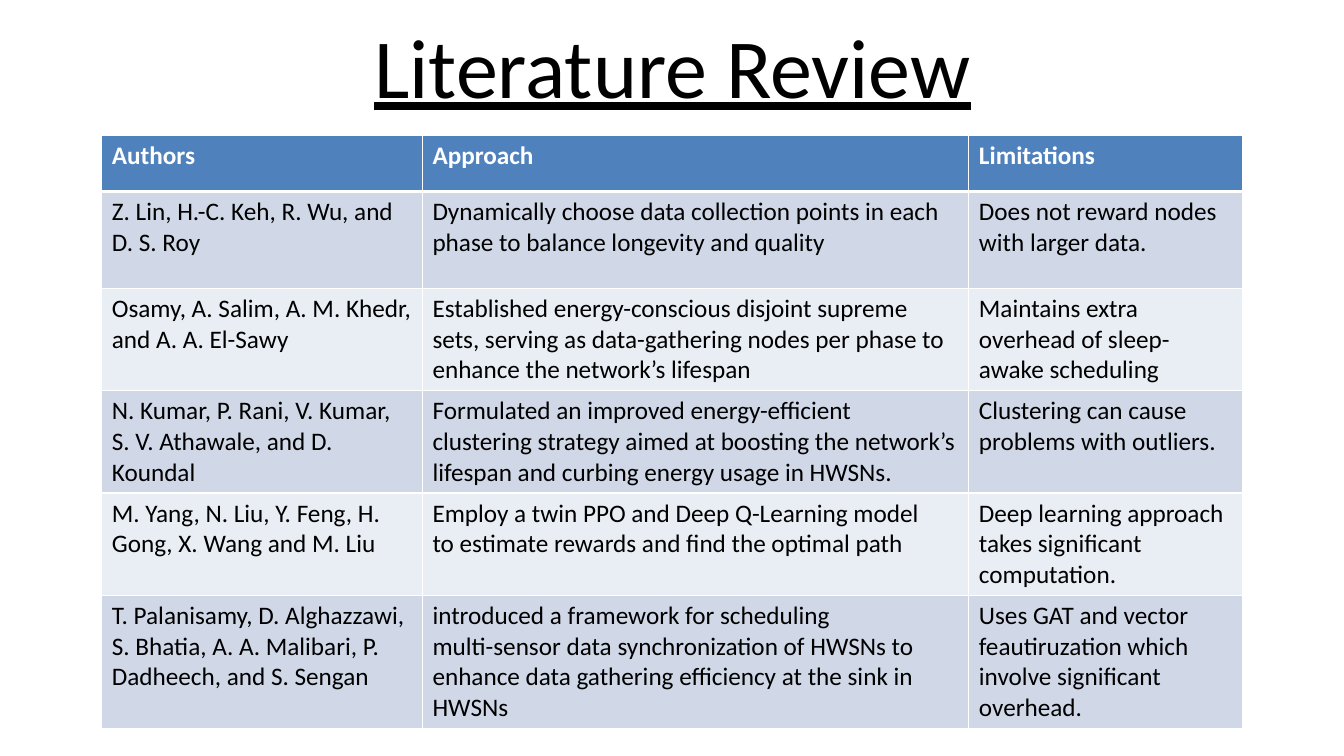
from lxml import etree
from pptx import Presentation
from pptx import util as u
from pptx.dml.color import RGBColor
from pptx.enum import text
from pptx.oxml import ns

FONT = "Calibri"
BLACK, WHITE = "000000", "FFFFFF"
HEADER_FILL = "4F81BD"
BAND_FILLS = ("D0D8E8", "E9EDF4")

COLUMN_WIDTHS = (3.18, 5.42, 2.71)
ROW_HEIGHTS = (0.56, 0.96, 1.01, 0.78, 0.78, 1.31)
REVIEWS = (
    ("Authors", "Approach", "Limitations"),
    ("Z. Lin, H.-C. Keh, R. Wu, and D. S. Roy",
     "Dynamically choose data collection points in each phase to balance longevity and quality",
     "Does not reward nodes with larger data."),
    ("Osamy, A. Salim, A. M. Khedr, and A. A. El-Sawy",
     "Established energy-conscious disjoint supreme sets, serving as data-gathering nodes "
     "per phase to enhance the network’s lifespan",
     "Maintains extra overhead of sleep-awake scheduling"),
    ("N. Kumar, P. Rani, V. Kumar, S. V. Athawale, and D. Koundal",
     "Formulated an improved energy-efficient\nclustering strategy aimed at boosting "
     "the network’s lifespan and curbing energy usage in HWSNs.",
     "Clustering can cause problems with outliers."),
    ("M. Yang, N. Liu, Y. Feng, H. Gong, X. Wang and M. Liu",
     "Employ a twin PPO and Deep Q-Learning model\n"
     "to estimate rewards and find the optimal path",
     "Deep learning approach takes significant computation."),
    ("T. Palanisamy, D. Alghazzawi, S. Bhatia, A. A. Malibari, P. Dadheech, and S. Sengan",
     "introduced a framework for scheduling\nmulti-sensor data synchronization of HWSNs to "
     "enhance data gathering efficiency at the sink in HWSNs",
     "Uses GAT and vector feautiruzation which involve significant overhead."),
)


def rgb(color):
    return RGBColor.from_string(color)


def write(paragraph, wording, size, color, bold=False, underline=False):
    """Set the wording, with newlines as line breaks, and format its runs."""
    paragraph.text = wording
    for run in paragraph.runs:
        font = run.font
        font.name, font.size = FONT, u.Pt(size)
        font.bold, font.underline = bold, underline
        font.color.rgb = rgb(color)


def set_borders(cell, color, **widths):
    """Draw cell borders; widths are points by side, in the order L, R, T, B."""
    properties = cell._tc.get_or_add_tcPr()
    for position, (side, width) in enumerate(widths.items()):
        line = etree.Element(ns.qn(f"a:ln{side}"), w=str(u.Pt(width)))
        fill = etree.SubElement(line, ns.qn("a:solidFill"))
        etree.SubElement(fill, ns.qn("a:srgbClr"), val=color)
        properties.insert(position, line)


def add_heading(slide, left, top, width, height):
    heading = slide.shapes.title
    heading.left, heading.top = u.Inches(left), u.Inches(top)
    heading.width, heading.height = u.Inches(width), u.Inches(height)
    frame = heading.text_frame
    frame.margin_left = frame.margin_right = frame.margin_top = frame.margin_bottom = 0
    frame.vertical_anchor = text.MSO_ANCHOR.TOP
    write(frame.paragraphs[0], "Literature Review", 60, BLACK, underline=True)
    frame.paragraphs[0].alignment = text.PP_ALIGN.CENTER


def add_reviews(slide, left, top):
    reviews = slide.shapes.add_table(
        len(REVIEWS), len(COLUMN_WIDTHS), u.Inches(left), u.Inches(top),
        u.Inches(sum(COLUMN_WIDTHS)), u.Inches(sum(ROW_HEIGHTS))).table
    for column, width in zip(reviews.columns, COLUMN_WIDTHS):
        column.width = u.Inches(width)
    for index, (row, height, review) in enumerate(zip(reviews.rows, ROW_HEIGHTS, REVIEWS)):
        row.height = u.Inches(height)
        is_header = index == 0
        fill = HEADER_FILL if is_header else BAND_FILLS[(index - 1) % 2]
        for cell, wording in zip(row.cells, review):
            cell.fill.solid()
            cell.fill.fore_color.rgb = rgb(fill)
            write(cell.text_frame.paragraphs[0], wording, 18,
                  WHITE if is_header else BLACK, bold=is_header)
            set_borders(cell, WHITE, L=1, R=1, T=3 if index == 1 else 1, B=3 if is_header else 1)


def main():
    deck = Presentation()
    deck.slide_width, deck.slide_height = u.Inches(13.33), u.Inches(7.5)
    slide = deck.slides.add_slide(deck.slide_layouts.get_by_name("Title Only"))
    add_heading(slide, 2.8, 0.14, 7.74, 1.03)
    add_reviews(slide, 1.01, 1.34)
    deck.save("out.pptx")


if __name__ == "__main__":
    main()
